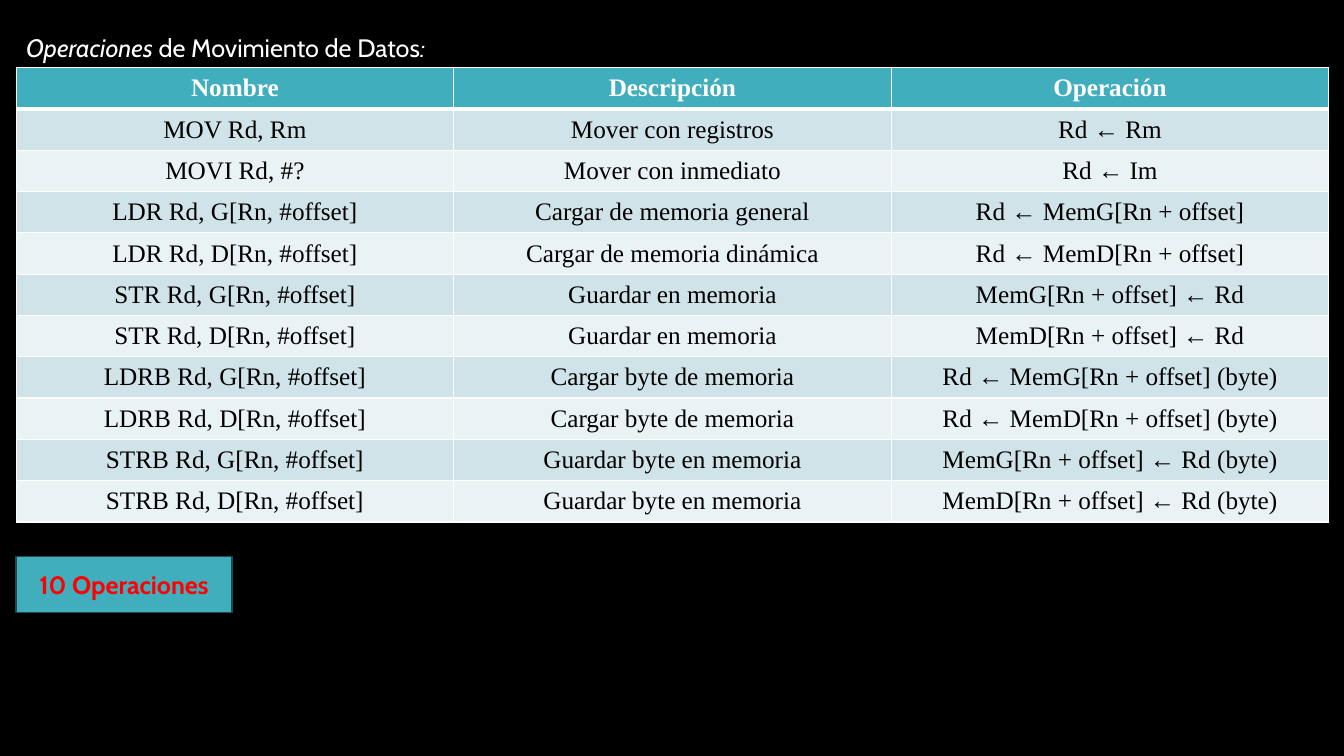
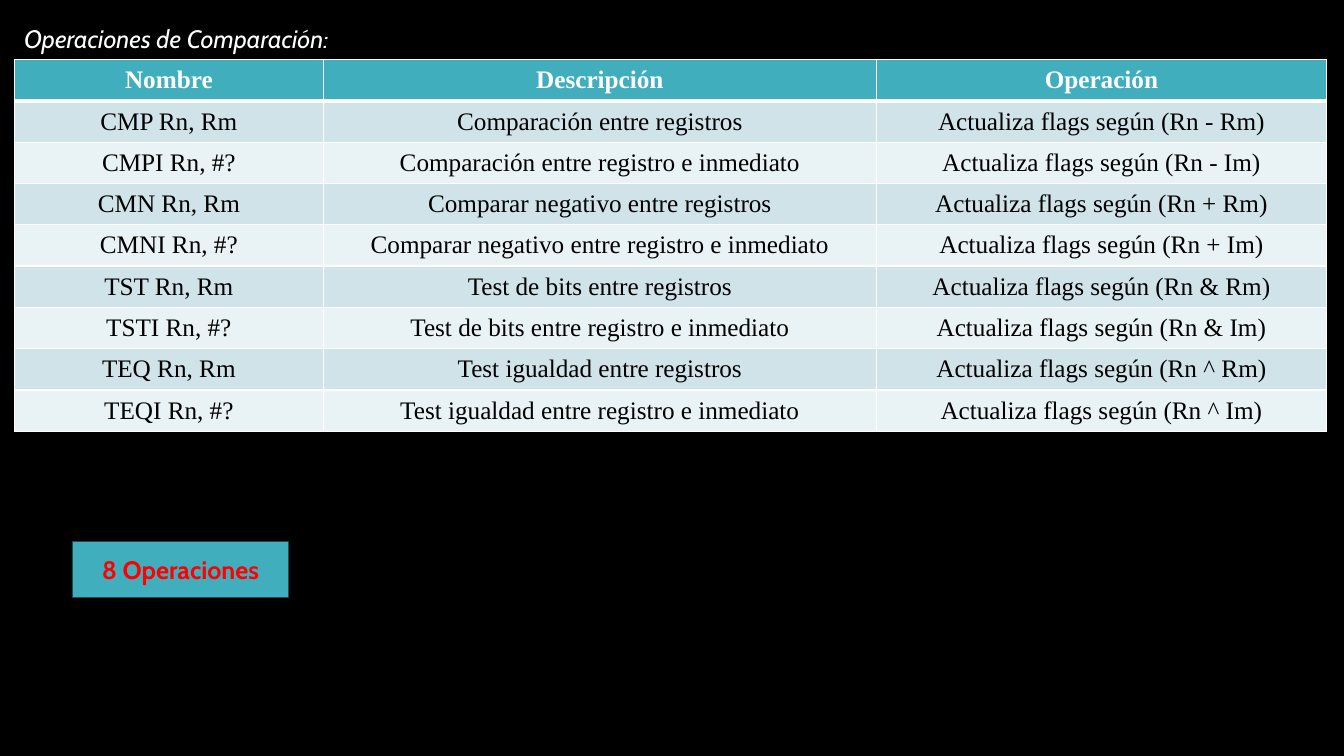
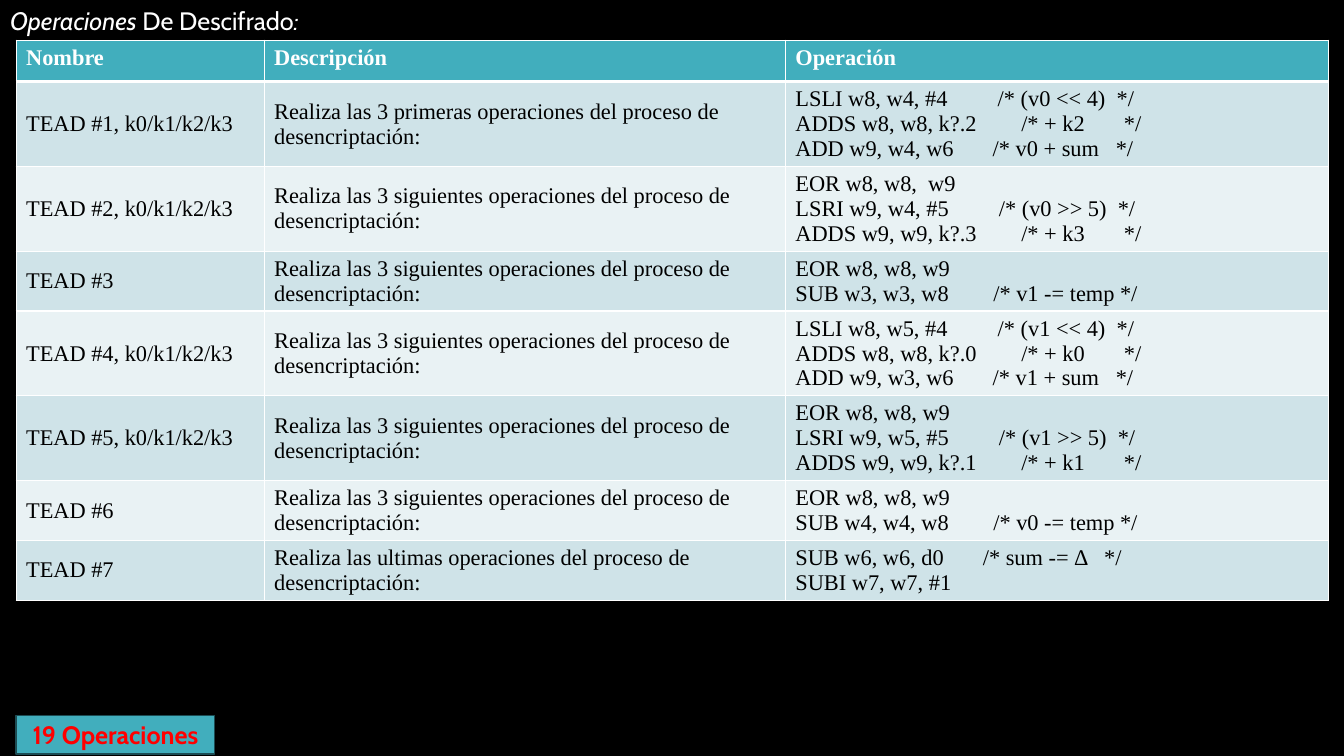
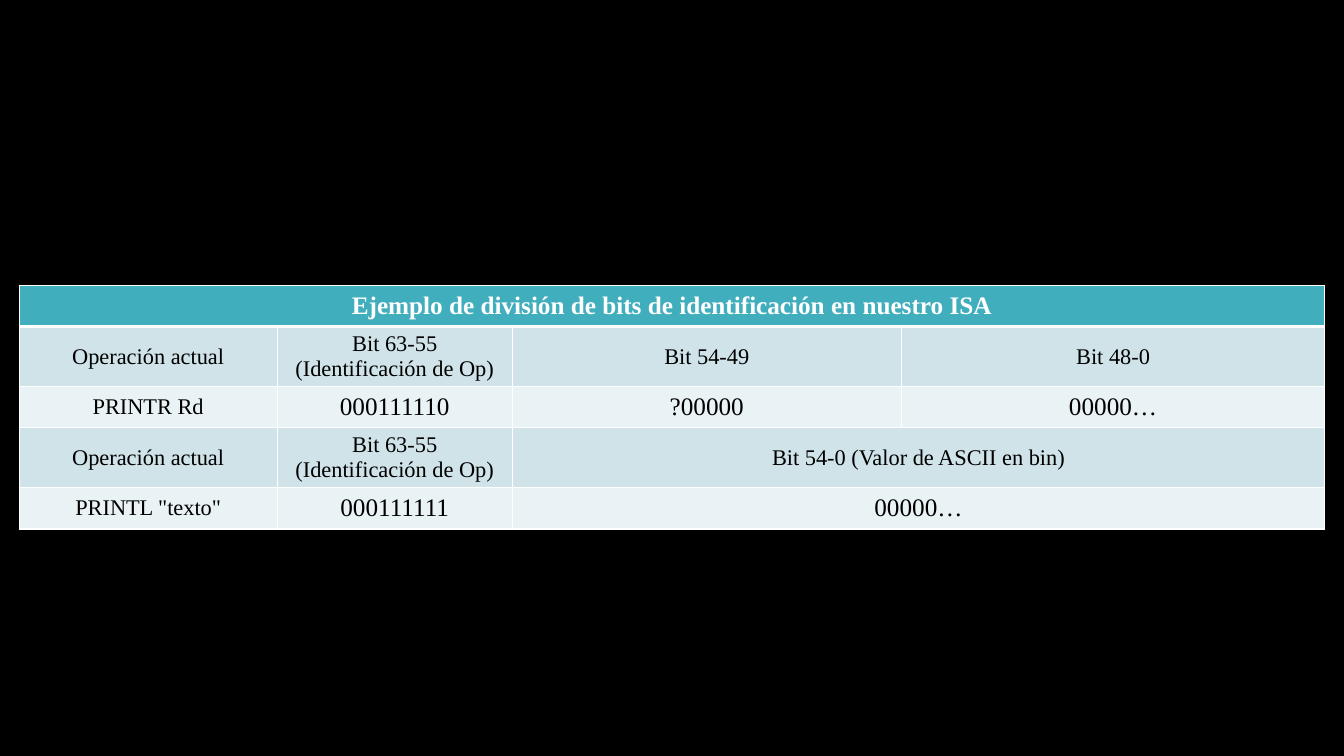
from lxml import etree
from pptx import Presentation
from pptx.dml.color import RGBColor
from pptx.enum.shapes import MSO_SHAPE
from pptx.enum.text import MSO_ANCHOR, MSO_AUTO_SIZE, PP_ALIGN
from pptx.oxml.ns import qn
from pptx.util import Inches, Pt

RECTANGLE = MSO_SHAPE.RECTANGLE
LEFT, CENTER = PP_ALIGN.LEFT, PP_ALIGN.CENTER
TOP, MIDDLE = MSO_ANCHOR.TOP, MSO_ANCHOR.MIDDLE
TITLE_ONLY, BLANK = 5, 6

COLORS = {
    "background": "000000",
    "accent": "41AEBD",
    "accent_dark": "1C4C53",
    "band_dark": "CFE3E8",
    "band_light": "E9F2F4",
    "white": "FFFFFF",
    "black": "000000",
    "red": "FF0000",
}
TITLE_FONT, TABLE_FONT = "Cabin", "Times New Roman"
ROW_HEIGHT = 0.41
LINE_ROWS = {1: ROW_HEIGHT, 2: 0.59, 3: 0.84}


def color(name):
    return RGBColor.from_string(COLORS[name])


def write_text(paragraph, text, font=TABLE_FONT, size=18, ink="black",
               bold=False, italic=False, align=LEFT):
    paragraph.alignment = align
    run = paragraph.add_run()
    run.text = text
    run.font.name = font
    run.font.size = Pt(size)
    run.font.bold = bold
    run.font.italic = italic
    run.font.color.rgb = color(ink)


# Contents: None in a row continues the cell to its left
header = ["Nombre", "Descripción", "Operación"]
next_steps = "Realiza las 3 siguientes operaciones del proceso de desencriptación:"
bit_labels = ["Operación actual", "Bit 63-55 (Identificación de Op)"]

movement_rows = [
    header,
    ["MOV Rd, Rm", "Mover con registros", "Rd ← Rm"],
    ["MOVI Rd, #?", "Mover con inmediato", "Rd ← Im"],
    ["LDR Rd, G[Rn, #offset]", "Cargar de memoria general", "Rd ← MemG[Rn + offset]"],
    ["LDR Rd, D[Rn, #offset]", "Cargar de memoria dinámica", "Rd ← MemD[Rn + offset]"],
    ["STR Rd, G[Rn, #offset]", "Guardar en memoria", "MemG[Rn + offset] ← Rd"],
    ["STR Rd, D[Rn, #offset]", "Guardar en memoria", "MemD[Rn + offset] ← Rd"],
    ["LDRB Rd, G[Rn, #offset]", "Cargar byte de memoria", "Rd ← MemG[Rn + offset] (byte)"],
    ["LDRB Rd, D[Rn, #offset]", "Cargar byte de memoria", "Rd ← MemD[Rn + offset] (byte)"],
    ["STRB Rd, G[Rn, #offset]", "Guardar byte en memoria", "MemG[Rn + offset] ← Rd (byte)"],
    ["STRB Rd, D[Rn, #offset]", "Guardar byte en memoria", "MemD[Rn + offset] ← Rd (byte)"],
]
comparison_rows = [
    header,
    ["CMP Rn, Rm", "Comparación entre registros", "Actualiza flags según (Rn - Rm)"],
    ["CMPI Rn, #?", "Comparación entre registro e inmediato", "Actualiza flags según (Rn - Im)"],
    ["CMN Rn, Rm", "Comparar negativo entre registros", "Actualiza flags según (Rn + Rm)"],
    ["CMNI Rn, #?", "Comparar negativo entre registro e inmediato", "Actualiza flags según (Rn + Im)"],
    ["TST Rn, Rm", "Test de bits entre registros", "Actualiza flags según (Rn & Rm)"],
    ["TSTI Rn, #?", "Test de bits entre registro e inmediato", "Actualiza flags según (Rn & Im)"],
    ["TEQ Rn, Rm", "Test igualdad entre registros", "Actualiza flags según (Rn ^ Rm)"],
    ["TEQI Rn, #?", "Test igualdad entre registro e inmediato", "Actualiza flags según (Rn ^ Im)"],
]
decryption_rows = [
    header,
    ["TEAD #1, k0/k1/k2/k3",
     "Realiza las 3 primeras operaciones del proceso de desencriptación:",
     "LSLI w8, w4, #4         /* (v0 << 4)  */\n"
     "ADDS w8, w8, k?.2        /* + k2       */\n"
     "ADD w9, w4, w6       /* v0 + sum   */"],
    ["TEAD #2, k0/k1/k2/k3", next_steps,
     "EOR w8, w8,  w9\n"
     "LSRI w9, w4, #5         /* (v0 >> 5)  */\n"
     "ADDS w9, w9, k?.3        /* + k3       */"],
    ["TEAD #3", next_steps,
     "EOR w8, w8, w9\n"
     "SUB w3, w3, w8        /* v1 -= temp */"],
    ["TEAD #4, k0/k1/k2/k3", next_steps,
     "LSLI w8, w5, #4         /* (v1 << 4)  */\n"
     "ADDS w8, w8, k?.0        /* + k0       */\n"
     "ADD w9, w3, w6       /* v1 + sum   */"],
    ["TEAD #5, k0/k1/k2/k3", next_steps,
     "EOR w8, w8, w9\n"
     "LSRI w9, w5, #5         /* (v1 >> 5)  */\n"
     "ADDS w9, w9, k?.1        /* + k1       */"],
    ["TEAD #6", next_steps,
     "EOR w8, w8, w9\n"
     "SUB w4, w4, w8        /* v0 -= temp */"],
    ["TEAD #7",
     "Realiza las ultimas operaciones del proceso de desencriptación:",
     "SUB w6, w6, d0       /* sum -= Δ   */\n"
     "SUBI w7, w7, #1"],
]
bit_rows = [
    ["Ejemplo de división de bits de identificación en nuestro ISA", None, None, None],
    bit_labels + ["Bit 54-49", "Bit 48-0"],
    ["PRINTR Rd", "000111110", "?00000", "00000…"],
    bit_labels + ["Bit 54-0 (Valor de ASCII en bin)", None],
    ["PRINTL \"texto\"", "000111111", "00000…", None],
]

# Titles are (text, italic) runs; boxes are left, top, width, height
pages = [
    {"title": [("Operaciones", True), (" de Movimiento de Datos", False), (":", True)],
     "title_box": (0.16, 0.27, 4.79, 0.4),
     "table_at": (0.16, 0.67), "columns": [4.34] * 3, "rows": movement_rows,
     "count": "10 Operaciones", "count_box": (0.16, 5.52, 2.14, 0.56)},
    {"title": [("Operaciones de Comparación:", True)],
     "title_box": (0.14, 0.18, 4.59, 0.4),
     "table_at": (0.14, 0.59), "columns": [3.07, 5.48, 4.47], "rows": comparison_rows,
     "count": "8 Operaciones", "count_box": (0.72, 5.37, 2.14, 0.56)},
    {"title": [("Operaciones", True), (" De Descifrado", False), (":", True)],
     "title_box": (0, 0, 4.59, 0.4),
     "table_at": (0.16, 0.4), "columns": [2.46, 5.17, 5.39], "rows": decryption_rows,
     "align": LEFT, "header_size": 16, "header_anchor": TOP, "label_size": 16,
     "value_size": 16, "row_lines": [1, 3, 3, 2, 3, 3, 2, 2],
     "count": "19 Operaciones", "count_box": (0.16, 7.1, 1.97, 0.38)},
    {"table_at": (0.19, 2.83), "columns": [2.56, 2.33, 3.86, 4.2], "rows": bit_rows,
     "label_size": 16, "row_lines": [1, 2, 1, 2, 1]},
]

presentation = Presentation()
presentation.slide_width = Inches(13.33)
presentation.slide_height = Inches(7.5)
background = presentation.slide_master.background.fill
background.solid()
background.fore_color.rgb = color("background")

for page in pages:
    layout = TITLE_ONLY if "title" in page else BLANK
    slide = presentation.slides.add_slide(presentation.slide_layouts[layout])

    # Table
    rows, columns = page["rows"], page["columns"]
    row_lines = page.get("row_lines", [1] * len(rows))
    heights = [LINE_ROWS[lines] for lines in row_lines]
    left, top = page["table_at"]
    table = slide.shapes.add_table(
        len(rows), len(columns), Inches(left), Inches(top),
        Inches(sum(columns)), Inches(sum(heights))).table
    table.horz_banding = False
    for column, width in zip(table.columns, columns):
        column.width = Inches(width)

    for row_index, row in enumerate(rows):
        table.rows[row_index].height = Inches(heights[row_index])
        is_header = row_index == 0
        band = "accent" if is_header else ("band_light", "band_dark")[row_index % 2]
        for column_index, text in enumerate(row):
            cell = table.cell(row_index, column_index)
            # Borders go before the fill; the header rule is thicker
            properties = cell._tc.get_or_add_tcPr()
            widths = {"lnL": 1, "lnR": 1, "lnT": 3 if row_index == 1 else 1,
                      "lnB": 3 if is_header else 1}
            for side, width in widths.items():
                line = etree.SubElement(properties, qn(f"a:{side}"), w=str(Pt(width)))
                fill = etree.SubElement(line, qn("a:solidFill"))
                etree.SubElement(fill, qn("a:srgbClr"), val=COLORS["white"])
            cell.fill.solid()
            cell.fill.fore_color.rgb = color(band)
            if text is None:
                continue

            span_end = column_index
            while span_end + 1 < len(row) and row[span_end + 1] is None:
                span_end += 1
            if span_end > column_index:
                cell.merge(table.cell(row_index, span_end))

            # In the bit table, rows of labels and the first column are smaller
            if is_header:
                size = page.get("header_size", 18)
            elif column_index == 0 or row_lines[row_index] > 1:
                size = page.get("label_size", 18)
            else:
                size = page.get("value_size", 18)
            cell.vertical_anchor = page.get("header_anchor", MIDDLE) if is_header else MIDDLE
            for line_index, line_text in enumerate(text.split("\n")):
                frame = cell.text_frame
                paragraph = frame.add_paragraph() if line_index else frame.paragraphs[0]
                write_text(paragraph, line_text, size=size, bold=is_header,
                           ink="white" if is_header else "black",
                           align=page.get("align", CENTER))

    if "title" not in page:
        continue

    # Title
    title = slide.shapes.title
    title.left, title.top, title.width, title.height = map(Inches, page["title_box"])
    title.text_frame.vertical_anchor = TOP
    title.text_frame.auto_size = MSO_AUTO_SIZE.NONE
    for text, italic in page["title"]:
        write_text(title.text_frame.paragraphs[0], text, font=TITLE_FONT,
                   ink="white", italic=italic)

    # Operation count
    shape = slide.shapes.add_shape(RECTANGLE, *map(Inches, page["count_box"]))
    shape.shadow.inherit = False
    shape.fill.solid()
    shape.fill.fore_color.rgb = color("accent")
    shape.line.color.rgb = color("accent_dark")
    shape.line.width = Pt(1)
    shape.text_frame.vertical_anchor = MIDDLE
    write_text(shape.text_frame.paragraphs[0], page["count"], font=TITLE_FONT,
               ink="red", bold=True, align=CENTER)

presentation.save("out.pptx")
